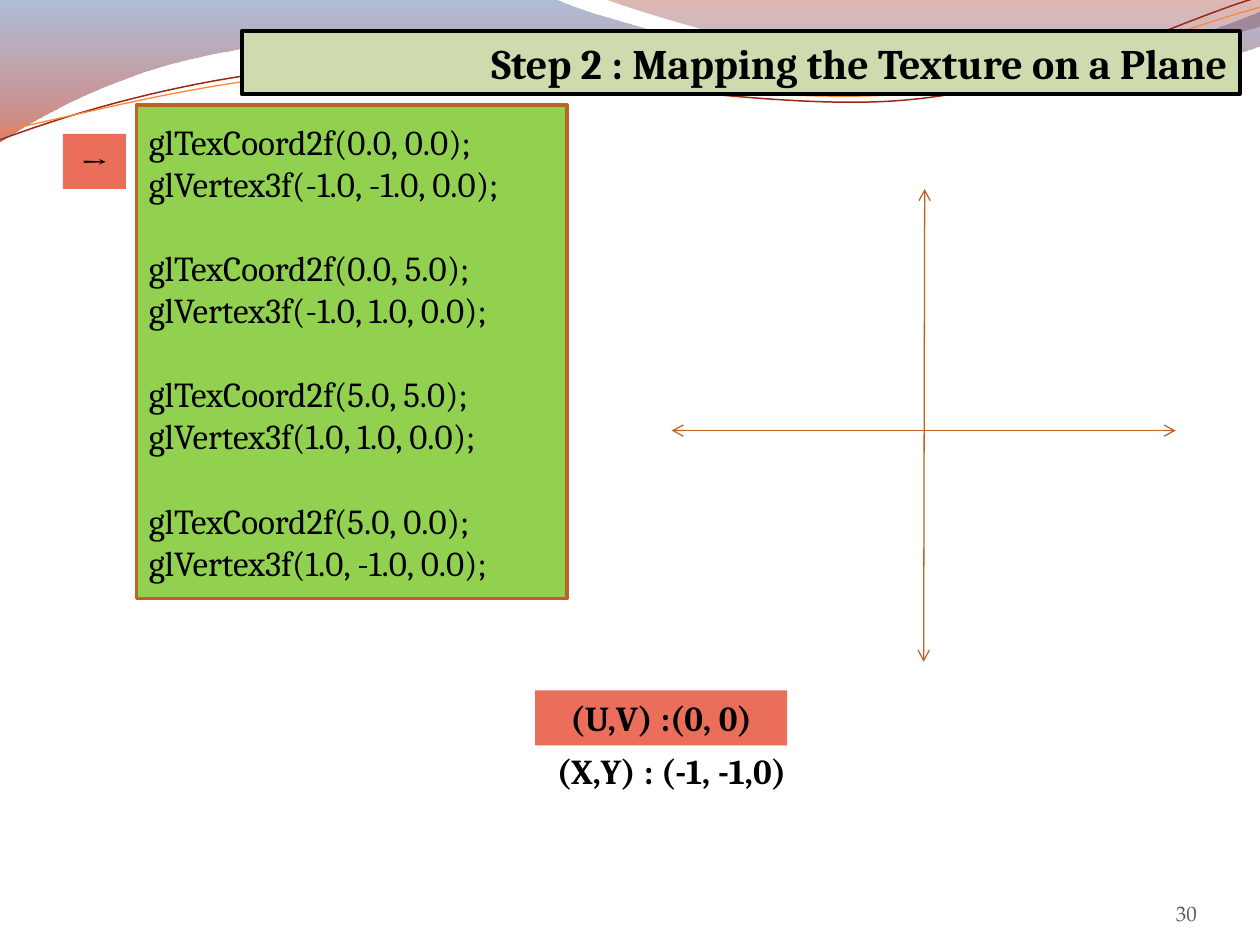
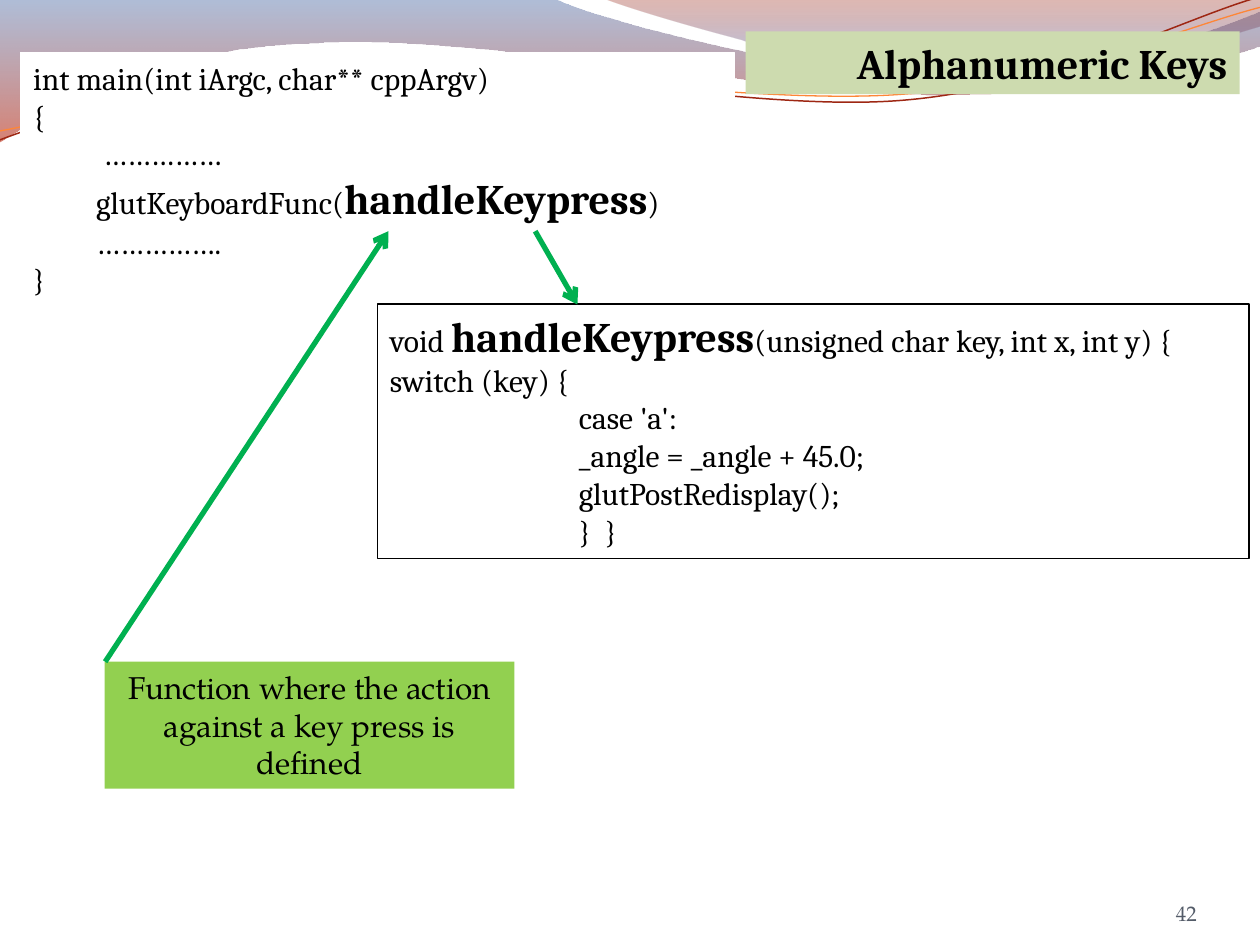
from dataclasses import dataclass

from lxml.etree import SubElement
from pptx import Presentation
from pptx.dml.color import RGBColor as Rgb
from pptx.enum.shapes import MSO_CONNECTOR as Connector, MSO_SHAPE as Preset
from pptx.enum.text import MSO_ANCHOR as Anchor, MSO_AUTO_SIZE as AutoSize, PP_ALIGN as Align
from pptx.oxml.ns import qn
from pptx.util import Cm, Pt


@dataclass(frozen=True)
class Theme:
    serif: str = "Cambria"
    book: str = "TeX Gyre Pagella"
    ink: str = "000000"
    paper: str = "FFFFFF"
    title_fill: str = "CDDBAF"
    green: str = "92D050"
    coral: str = "EB6E5A"
    brown: str = "BC6329"
    axis: str = "BE6326"
    pointer: str = "00B050"
    number: str = "535B68"
    title: int = 24
    label: int = 20
    code: int = 18
    small: int = 12


THEME = Theme()
TITLE_RIGHT = 24.99

# Content: texture mapping
TEXTURE_TITLE = "Step 2 : Mapping the Texture on a Plane"
VERTEX_CALLS = [
    ("glTexCoord2f(0.0, 0.0);", "glVertex3f(-1.0, -1.0, 0.0);"),
    ("glTexCoord2f(0.0, 5.0);", "glVertex3f(-1.0, 1.0, 0.0);"),
    ("glTexCoord2f(5.0, 5.0);", "glVertex3f(1.0, 1.0, 0.0);"),
    ("glTexCoord2f(5.0, 0.0);", "glVertex3f(1.0, -1.0, 0.0);"),
]
AXES = [((18.64, 3.81), (18.62, 13.34)), ((13.54, 8.68), (23.7, 8.68))]

# Content: keyboard handler; each line of code has its indent in cm
KEYS_TITLE = "Alphanumeric Keys"
HANDLER = "handleKeypress"
MAIN_CODE = [
    ("int main(int iArgc, char** cppArgv)", 0),
    ("{", 0),
    (" ……………", 1.27),
    ("glutKeyboardFunc(handleKeypress)", 1.27),
    ("…………….", 1.27),
    ("}", 0),
]
HANDLER_CODE = [
    ("void handleKeypress(unsigned char key, int x, int y) {", 0),
    ("switch (key) {", 0),
    ("case 'a':", 3.81),
    ("_angle = _angle + 45.0;", 3.81),
    ("glutPostRedisplay();", 3.81),
    ("}  }", 3.81),
]
HANDLER_NOTE = "Function where the action against a key press is defined"
POINTERS = [((2.12, 13.34), (7.83, 4.66)), ((10.79, 4.66), (11.64, 6.14))]

# Header waves in cm: start, then straight (2 numbers) or curved (6 numbers) steps
WASHES = [
    ((0, 0), [
        (11.18, -0.03),
        (12.09, 0.43, 16.87, 1.6, 19.25, 1.6),
        (21.67, 1.6, 24.33, 0.66, 25.4, 0.23),
        (25.43, 0.91),
        (24.97, 1.12, 22.1, 1.93, 18.95, 1.91),
        (15.8, 1.91, 9.7, 0.71, 6.53, 0.86),
        (3.28, 0.91, 1.17, 2.11, -0.03, 2.87),
        (0, 0),
    ], [(0, "4F6EA8", 45), (1, "B61A00", 55)]),
    ((12.17, -0.03), [
        (12.93, 0.28, 17.32, 1.57, 19.53, 1.65),
        (21.74, 1.75, 24.41, 0.81, 25.4, 0.53),
        (25.4, 0),
        (12.17, -0.03),
    ], [(0, "951500", 30), (0.8, "5681D1", 45)]),
]
STRANDS = [
    ((0, 2.82), [
        (1.22, 2.36, 4.01, 1.45, 7.04, 1.32),
        (10.03, 1.19, 15.06, 2.26, 18.11, 2.03),
        (21.16, 1.8, 23.83, 0.38, 25.35, -0.05),
    ], "9E2713", 0.85),
    ((0, 2.64), [
        (1.19, 2.44, 4.17, 1.55, 7.19, 1.42),
        (10.24, 1.3, 15.16, 2.13, 18.21, 1.9),
        (21.23, 1.7, 23.9, 0.53, 25.4, 0.15),
    ], "FE8637", 0.75),
]


def color(value):
    return Rgb.from_string(value)


def write(shape, lines, size=THEME.label, font=THEME.serif, ink=THEME.ink, bold=False,
          align=Align.LEFT, anchor=Anchor.TOP, strong=None, gaps=()):
    """Write (text, indent) lines; gaps lists the lines with one line of space before."""
    frame = shape.text_frame
    frame.word_wrap = True
    frame.auto_size = AutoSize.NONE
    frame.vertical_anchor = anchor
    if isinstance(lines, str):
        lines = [(lines, 0)]
    for index, (text, indent) in enumerate(lines):
        para = frame.add_paragraph() if index else frame.paragraphs[0]
        para.alignment = align
        if indent:
            para._p.get_or_add_pPr().set("marL", str(Cm(indent)))
        if index in gaps:
            para.space_before = Pt(size * 1.2)
        pieces = text.partition(strong) if strong else [text]
        for piece in filter(None, pieces):
            span = para.add_run()
            span.text = piece
            span.font.name = font
            span.font.size = Pt(THEME.title if piece == strong else size)
            span.font.bold = bold or piece == strong
            span.font.color.rgb = color(ink)


def paint(shape, fill=None, line=None, width=0.75):
    if fill:
        shape.fill.solid()
        shape.fill.fore_color.rgb = color(fill)
    else:
        shape.fill.background()
    if line:
        shape.line.color.rgb = color(line)
        shape.line.width = Pt(width)
    else:
        shape.line.fill.background()


def add_box(page, place, lines, fill=None, line=None, width=0.75, **style):
    box = page.shapes.add_shape(Preset.RECTANGLE, *map(Cm, place))
    box.shadow.inherit = False
    paint(box, fill, line, width)
    write(box, lines, **style)


def add_label(page, place, text, **style):
    box = page.shapes.add_textbox(*map(Cm, place))
    write(box, text, **style)
    return box


def add_arrow(page, start, end, line, width, heads):
    arrow = page.shapes.add_connector(Connector.STRAIGHT, *map(Cm, start + end))
    arrow.line.color.rgb = color(line)
    arrow.line.width = Pt(width)
    for head in heads:
        SubElement(arrow.line._get_or_add_ln(), qn(f"a:{head}"), type="arrow")
    SubElement(arrow._element.spPr, qn("a:effectLst"))


def draw_wave(page, start, steps, close):
    """Draw a freeform through all points, then join each curved step into one Bézier."""
    points = [(Cm(x), Cm(y)) for step in steps for x, y in zip(step[::2], step[1::2])]
    builder = page.shapes.build_freeform(*map(Cm, start))
    builder.add_line_segments(points, close=close)
    wave = builder.convert_to_shape()
    wave.shadow.inherit = False
    segments = iter(list(wave._element.iter(qn("a:lnTo"))))
    for step in steps:
        curve = next(segments)
        if len(step) == 6:
            curve.tag = qn("a:cubicBezTo")
            for segment in (next(segments), next(segments)):
                curve.append(segment[0])
                segment.getparent().remove(segment)
    return wave


def add_header_waves(page):
    """Draw the waves and hand them to the layout, so that every slide shows them."""
    waves = []
    for start, steps, stops in WASHES:
        wave = draw_wave(page, start, steps, close=True)
        paint(wave)
        wave.fill.gradient()
        wave.fill.gradient_angle = 270
        for stop, (position, tint, _) in zip(wave.fill.gradient_stops, stops):
            stop.position = position
            stop.color.rgb = color(tint)
        tints = wave._element.spPr.iter(qn("a:srgbClr"))
        for tint, (_, _, opacity) in zip(list(tints), stops):
            SubElement(tint, qn("a:alpha"), val=str(opacity * 1000))
        waves.append(wave)
    for start, steps, line, width in STRANDS:
        wave = draw_wave(page, start, steps, close=False)
        paint(wave, line=line, width=width)
        waves.append(wave)
    for wave in waves:
        page.slide_layout.shapes._spTree.append(wave._element)


def add_page(deck, title, title_width, number, **frame):
    page = deck.slides.add_slide(deck.slide_layouts[5])
    head = page.shapes.title
    head.left, head.top = Cm(TITLE_RIGHT - title_width), Cm(0.63)
    head.width, head.height = Cm(title_width), Cm(1.27)
    paint(head, THEME.title_fill, **frame)
    write(head, title, size=THEME.title, bold=True, align=Align.RIGHT)
    foot = add_label(page, (22.01, 17.65, 2.12, 1.02), number, size=THEME.small,
                     font=THEME.book, ink=THEME.number, align=Align.RIGHT,
                     anchor=Anchor.BOTTOM)
    text = foot.text_frame
    text.margin_left = text.margin_right = text.margin_top = text.margin_bottom = 0
    return page


def build_texture_page(deck):
    page = add_page(deck, TEXTURE_TITLE, 20.12, "30", line=THEME.ink, width=2.25)
    add_header_waves(page)
    calls = [(call, 0) for pair in VERTEX_CALLS for call in pair]
    add_box(page, (2.75, 2.12, 8.68, 9.95), calls, fill=THEME.green, line=THEME.brown,
            width=2, anchor=Anchor.MIDDLE, gaps=range(2, len(calls), 2))
    for start, end in AXES:
        add_arrow(page, start, end, THEME.axis, 0.75, ("headEnd", "tailEnd"))
    # Step marker and the coordinates it stands for
    bold = dict(bold=True, align=Align.CENTER)
    add_box(page, (1.27, 2.7, 1.27, 1.11), "→", fill=THEME.coral, **bold)
    add_label(page, (10.79, 14.98, 5.5, 1.11), "(X,Y) : (-1, -1,0)", **bold)
    add_box(page, (10.79, 13.92, 5.08, 1.11), "(U,V) :(0, 0)", fill=THEME.coral, **bold)


def build_keys_page(deck):
    page = add_page(deck, KEYS_TITLE, 9.96, "42")
    code = dict(size=THEME.code, strong=HANDLER)
    add_box(page, (0.42, 1.06, 14.39, 5.13), MAIN_CODE, fill=THEME.paper,
            line=THEME.paper, **code)
    add_box(page, (7.61, 6.13, 17.57, 5.13), HANDLER_CODE, line=THEME.ink, **code)
    add_box(page, (2.11, 13.34, 8.26, 2.56), HANDLER_NOTE, fill=THEME.green,
            size=THEME.code, font=THEME.book, align=Align.CENTER)
    for start, end in POINTERS:
        add_arrow(page, start, end, THEME.pointer, 3, ("tailEnd",))


def main():
    deck = Presentation()
    deck.slide_width, deck.slide_height = Cm(25.4), Cm(19.05)
    build_texture_page(deck)
    build_keys_page(deck)
    deck.save("out.pptx")


if __name__ == "__main__":
    main()
